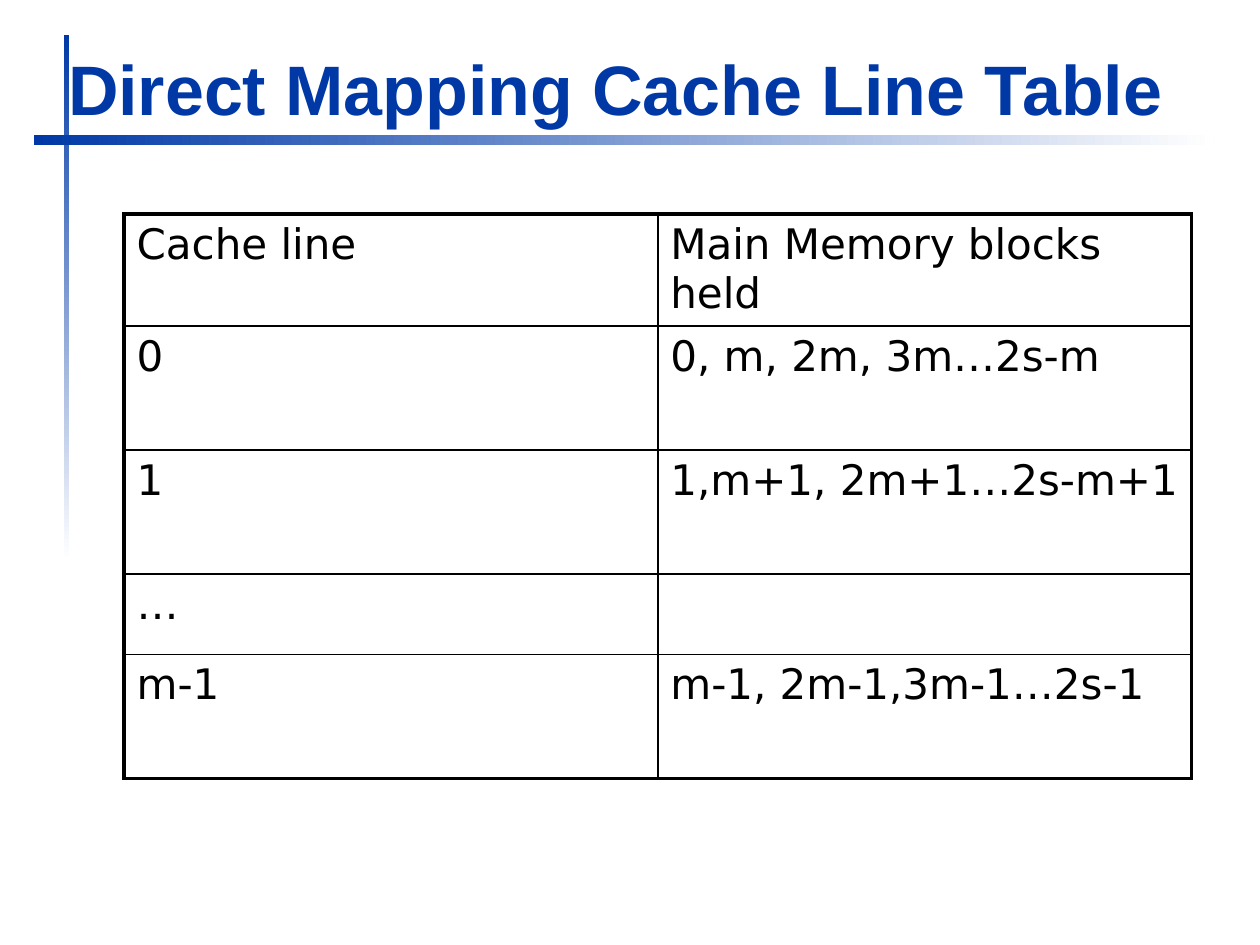
from pptx import Presentation
from pptx import oxml
from pptx.dml import color
from pptx.enum import shapes, text
from pptx.oxml import ns
from pptx.util import Pt

BLUE, WHITE, BLACK = "0039A6", "FFFFFF", "000000"
ROWS = [
    ("Cache line", "Main Memory blocks held"),
    ("0", "0, m, 2m, 3m…2s-m"),
    ("1", "1,m+1, 2m+1…2s-m+1"),
    ("…", ""),
    ("m-1", "m-1, 2m-1,3m-1…2s-1"),
]
ROW_HEIGHTS = [64, 70.8, 70.8, 46, 70.8]


def rgb(value):
    """Return the colour for a hex string."""
    return color.RGBColor.from_string(value)


def write(frame, content, font="DejaVu Sans", size=24, fill=BLACK, bold=False):
    """Put formatted, left-aligned text into a text frame."""
    paragraph = frame.paragraphs[0]
    paragraph.alignment = text.PP_ALIGN.LEFT
    paragraph.space_before = Pt(0)
    run = paragraph.add_run()
    run.text = content
    run.font.name, run.font.size, run.font.bold = font, Pt(size), bold
    run.font.color.rgb = rgb(fill)


def add_fading_bar(slide, left, top, width, height, angle):
    """Add a bar that fades from blue to white."""
    bar = slide.shapes.add_shape(
        shapes.MSO_SHAPE.RECTANGLE, Pt(left), Pt(top), Pt(width), Pt(height))
    bar.shadow.inherit = False
    bar.line.fill.background()
    bar.fill.gradient()
    bar.fill.gradient_angle = angle
    for stop, value in zip(bar.fill.gradient_stops, (BLUE, WHITE)):
        stop.color.rgb = rgb(value)


def add_heading(slide, left, top, width, height):
    """Place the title over its two crossing bars."""
    add_fading_bar(slide, left + 5, top - 2.4, 2.9, 300, 270)
    add_fading_bar(slide, left - 12.2, top + 54.7, 674.6, 5.8, 0)
    title = slide.shapes.title
    title.element.getparent().append(title.element)
    title.left, title.top = Pt(left), Pt(top)
    title.width, title.height = Pt(width), Pt(height)
    frame = title.text_frame
    frame.word_wrap = True
    frame.auto_size = text.MSO_AUTO_SIZE.NONE
    frame.vertical_anchor = text.MSO_ANCHOR.BOTTOM
    write(frame, "Direct Mapping Cache Line Table",
          font="Arial", size=40, fill=BLUE, bold=True)


def set_borders(cell, outer_sides):
    """Draw thick lines on the outer sides of a cell and thin ones elsewhere."""
    properties = cell._tc.get_or_add_tcPr()
    for side in "LRTB":
        width = Pt(2.25 if side in outer_sides else 1)
        properties.append(oxml.parse_xml(
            f'<a:ln{side} {ns.nsdecls("a")} w="{width}"><a:solidFill>'
            f'<a:srgbClr val="{BLACK}"/></a:solidFill></a:ln{side}>'))


def add_cache_table(slide, left, top, width):
    """Add the table of cache lines and the memory blocks they hold."""
    table = slide.shapes.add_table(
        len(ROWS), 2, Pt(left), Pt(top), Pt(width), Pt(sum(ROW_HEIGHTS))).table
    table.first_row = table.horz_banding = False
    for column in table.columns:
        column.width = Pt(width / 2)
    for row_index, (row, height) in enumerate(zip(ROWS, ROW_HEIGHTS)):
        table.rows[row_index].height = Pt(height)
        edge = {0: "T", len(ROWS) - 1: "B"}.get(row_index, "")
        for column_index, content in enumerate(row):
            cell = table.cell(row_index, column_index)
            set_borders(cell, edge + "LR"[column_index])
            cell.fill.background()
            if content:
                write(cell.text_frame, content)


def main():
    """Build and save the slide."""
    presentation = Presentation()
    presentation.slide_width, presentation.slide_height = Pt(720), Pt(540)
    slide = presentation.slides.add_slide(presentation.slide_layouts[5])
    add_heading(slide, 31.7, 22.3, 645.8, 55.4)
    add_cache_table(slide, 70.9, 122.4, 610)
    presentation.save("out.pptx")


if __name__ == "__main__":
    main()
